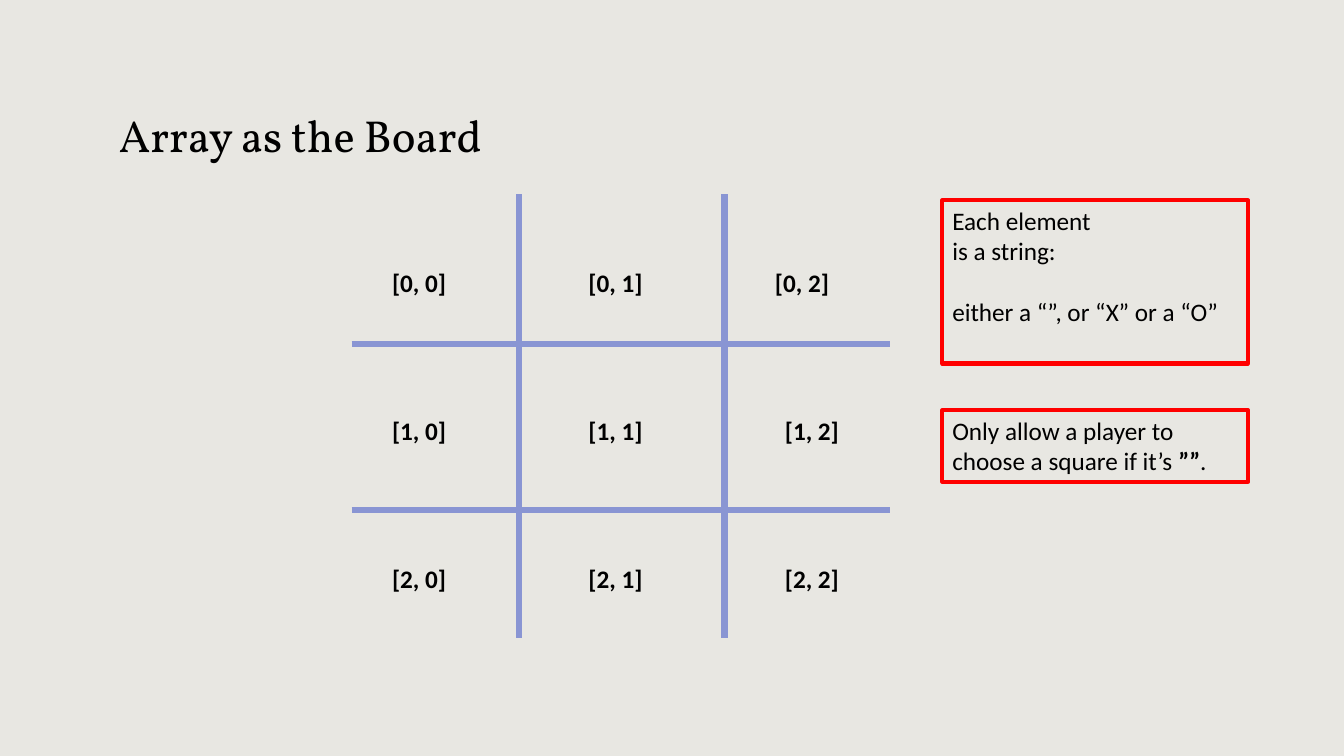
import pptx
import pptx.dml.color
import pptx.enum.shapes
import pptx.enum.text
import pptx.oxml.ns
import pptx.util
import lxml.etree

Cm = pptx.util.Cm
Pt = pptx.util.Pt
RGBColor = pptx.dml.color.RGBColor
PAPER = RGBColor(0xE8, 0xE7, 0xE2)
INK = RGBColor(0, 0, 0)
GRID_BLUE = RGBColor(0x89, 0x95, 0xD3)
NOTE_RED = RGBColor(0xFF, 0, 0)


class BoardSlide:
    heading_font = "Vollkorn"
    text_font = "Calibri"
    text_size = 18

    def __init__(self, deck):
        self.slide = deck.slides.add_slide(deck.slide_layouts[5])
        self.slide.background.fill.solid()
        self.slide.background.fill.fore_color.rgb = PAPER

    def add_words(self, paragraph, text, bold=False, font=text_font, size=text_size):
        run = paragraph.add_run()
        run.text = text
        run.font.name = font
        run.font.size = Pt(size)
        run.font.bold = bold
        run.font.color.rgb = INK

    def title(self, text, left, top, width, height):
        heading = self.slide.shapes.title
        heading.left, heading.top = Cm(left), Cm(top)
        heading.width, heading.height = Cm(width), Cm(height)
        frame = heading.text_frame
        frame.vertical_anchor = pptx.enum.text.MSO_ANCHOR.BOTTOM
        frame.paragraphs[0].alignment = pptx.enum.text.PP_ALIGN.LEFT
        self.add_words(frame.paragraphs[0], text, font=self.heading_font, size=32)

    def line(self, x1, y1, x2, y2):
        rule = self.slide.shapes.add_connector(
            pptx.enum.shapes.MSO_CONNECTOR.STRAIGHT, Cm(x1), Cm(y1), Cm(x2), Cm(y2))
        rule.line.color.rgb = GRID_BLUE
        rule.line.width = Pt(4.5)
        properties = rule._element.spPr
        lxml.etree.SubElement(properties, pptx.oxml.ns.qn("a:effectLst"))

    def label(self, text, left, top):
        square = self.slide.shapes.add_textbox(Cm(left), Cm(top), Cm(2.11), Cm(1.02))
        square.text_frame.word_wrap = False
        self.add_words(square.text_frame.paragraphs[0], text, bold=True)

    def note(self, paragraphs, top, height):
        box = self.slide.shapes.add_shape(
            pptx.enum.shapes.MSO_SHAPE.RECTANGLE, Cm(23.75), Cm(top), Cm(7.7), Cm(height))
        box.shadow.inherit = False
        box.fill.background()
        box.line.color.rgb = NOTE_RED
        box.line.width = Pt(3)
        frame = box.text_frame
        frame.word_wrap = True
        frame.vertical_anchor = pptx.enum.text.MSO_ANCHOR.TOP
        for index, (space_before, runs) in enumerate(paragraphs):
            paragraph = frame.add_paragraph() if index else frame.paragraphs[0]
            paragraph.alignment = pptx.enum.text.PP_ALIGN.LEFT
            paragraph.space_before = Pt(space_before)
            for text, bold in runs:
                self.add_words(paragraph, text, bold)


def main():
    deck = pptx.Presentation()
    deck.slide_width, deck.slide_height = Cm(33.87), Cm(19.05)
    board = BoardSlide(deck)
    board.title("Array as the Board", 2.74, 1.09, 28.37, 3.1)

    for x in (13.08, 18.26):
        board.line(x, 4.9, x, 16.08)
    for y in (8.66, 12.85):
        board.line(8.86, y, 22.43, y)

    column_nudges = {(0, 2): -0.25}
    for row in range(3):
        for column in range(3):
            left = 9.63 + 4.95 * column + column_nudges.get((row, column), 0)
            board.label(f"[{row}, {column}]", left, 6.6 + 3.73 * row)

    board.note([
        (0, [("Each element", False)]),
        (0, [("is a string:", False)]),
        (22, [("either a “”, or “X” or a “O”", False)]),
    ], 5.05, 4.11)
    board.note([
        (0, [("Only allow a player to choose a square if it’s ", False),
             ("””", True), (".", False)]),
    ], 10.34, 1.8)

    deck.save("out.pptx")


if __name__ == "__main__":
    main()
